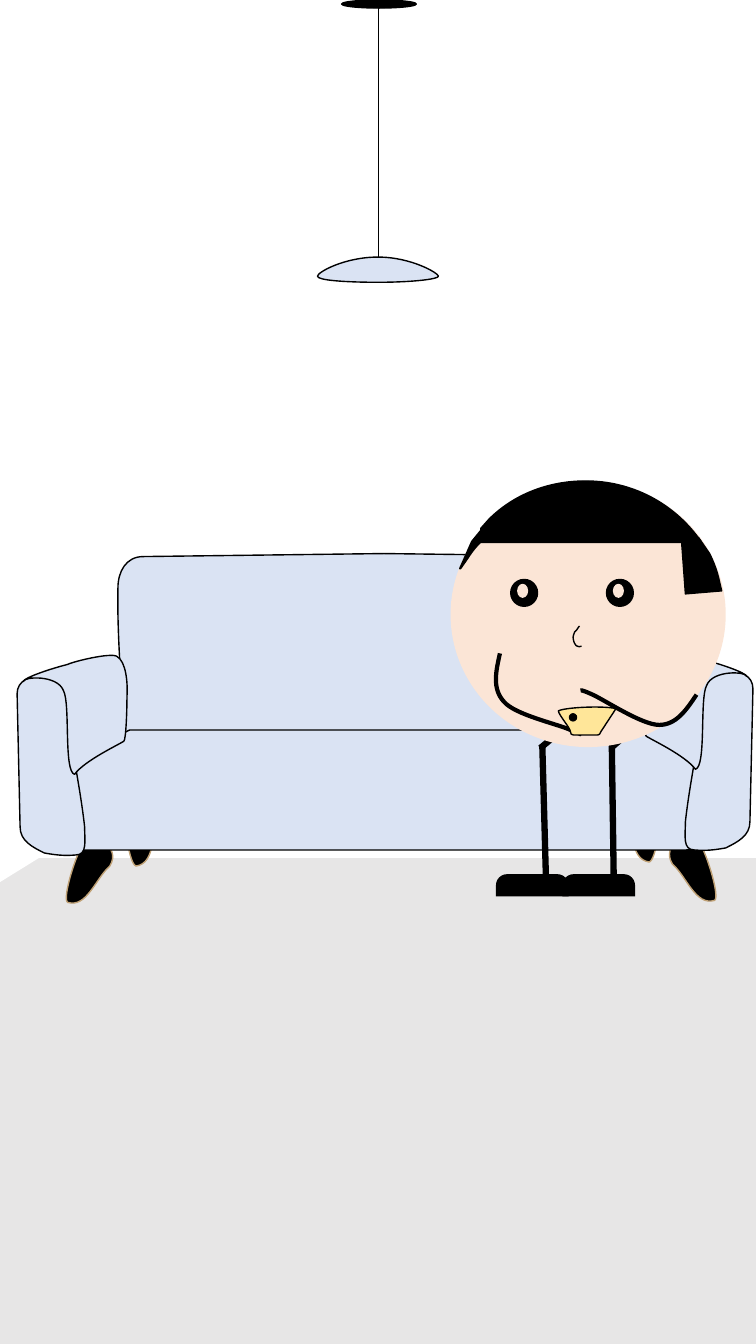
import math
import pptx
import pptx.util
import pptx.dml.color
import pptx.enum.shapes
import lxml.etree

Inches = pptx.util.Inches
SHAPE = pptx.enum.shapes.MSO_SHAPE
DRAWING = "{http://schemas.openxmlformats.org/drawingml/2006/main}"

COLORS = {"floor": "E7E6E6", "wall": "FFFFFF", "ink": "000000", "sofa": "DAE3F3",
          "wood": "C0A175", "skin": "FBE5D6", "phone": "FFE699"}

# Each part: frame (left, top, width, height), turn in degrees, outline in inches.
# An outline is a start point, then 2 numbers for a line or 6 for a curve.
WALLS = [
    ((-4.48, -0.28, 4.93, 11.79), 0,
     [(-4.48, -0.24), (0.36, -0.28), (0.45, 8.47), (-4.48, 11.52), (-4.48, -0.24)]),
    ((0.29, -0.14, 2.32, 8.63), 0,
     [(0.29, -0.14), (2.55, -0.07), (2.61, 6.61), (0.42, 8.5), (0.29, -0.14)]),
]
LAMPSHADE = ((3.15, 2.55, 1.2, 0.24), 0, [
    (3.15, 2.74), (3.15, 2.7, 3.42, 2.55, 3.75, 2.55), (4.08, 2.55, 4.35, 2.71, 4.35, 2.74),
    (4.35, 2.77, 4.08, 2.8, 3.75, 2.8), (3.42, 2.8, 3.15, 2.78, 3.15, 2.74)])
FRONT_LEG = ((6.56, 8.47, 0.69, 0.33), 59, [
    (6.73, 8.34), (6.81, 8.3, 6.91, 8.32, 6.96, 8.4), (7.02, 8.5, 7.14, 8.89, 7.09, 8.93),
    (6.9, 8.99, 6.81, 8.69, 6.67, 8.57), (6.61, 8.47, 6.65, 8.39, 6.73, 8.34)])
REAR_LEG = ((6.06, 8.04, 0.69, 0.33), 84.1, [
    (6.37, 7.86), (6.46, 7.85, 6.54, 7.92, 6.55, 8.01), (6.56, 8.12, 6.51, 8.53, 6.44, 8.55),
    (6.24, 8.52, 6.29, 8.21, 6.22, 8.04), (6.21, 7.93, 6.27, 7.87, 6.37, 7.86)])
SOFA_BACK = ((1.17, 5.49, 5.29, 2.11), 0, [
    (1.17, 5.83), (1.17, 5.67, 1.25, 5.52, 1.42, 5.52), (3.81, 5.49), (6.16, 5.52),
    (6.33, 5.52, 6.46, 5.65, 6.46, 5.81), (6.46, 7.31), (6.46, 7.47, 6.33, 7.6, 6.16, 7.6),
    (1.42, 7.6), (1.25, 7.6, 1.23, 7.47, 1.23, 7.31), (1.21, 6.82, 1.16, 6.32, 1.17, 5.83)])
SEAT = ((0.57, 7.24, 6.51, 1.19), 0, [
    (1.29, 7.24), (6.36, 7.24), (6.39, 7.24, 6.78, 7.5, 6.88, 7.6), (6.89, 7.62), (6.92, 7.62),
    (7.01, 7.66, 7.07, 7.75, 7.07, 7.86), (7.07, 8.17), (7.07, 8.32, 6.96, 8.43, 6.81, 8.43),
    (0.83, 8.43), (0.68, 8.43, 0.57, 8.32, 0.57, 8.17), (0.57, 7.86),
    (0.57, 7.75, 0.63, 7.66, 0.73, 7.62), (0.77, 7.61), (0.77, 7.61),
    (0.89, 7.51, 1.25, 7.24, 1.29, 7.24)])
ARM_FRONT = ((6.79, 6.65, 0.67, 1.79), 0, [
    (6.98, 6.89), (6.98, 6.76, 7.09, 6.65, 7.21, 6.65), (7.21, 6.65),
    (7.34, 6.65, 7.47, 6.7, 7.47, 6.83), (7.44, 8.15), (7.44, 8.29, 7.32, 8.35, 7.2, 8.41),
    (7.09, 8.43, 7, 8.44, 6.89, 8.43), (6.77, 8.43, 6.8, 8.29, 6.8, 8.15),
    (6.85, 7.7, 6.95, 7.31, 6.98, 6.89)])
ARM_SIDE = ((6.33, 6.5, 1.02, 1.12), 9.1, [
    (6.41, 7.3), (6.39, 7.28, 6.38, 7, 6.38, 6.86), (6.37, 6.72, 6.39, 6.51, 6.48, 6.46),
    (6.54, 6.42, 6.91, 6.51, 6.97, 6.54), (7.13, 6.58, 7.4, 6.67, 7.41, 6.71),
    (7.41, 6.66, 7.07, 6.64, 7.01, 6.8), (6.94, 6.93, 7.01, 7.6, 6.9, 7.63),
    (6.8, 7.49, 6.43, 7.32, 6.41, 7.3)])
RIGHT_ARM = ((6.02, 6.42, 0.7, 0.99), 61.9, [
    (6.91, 6.89), (6.81, 7.04, 6.71, 7.19, 6.54, 7.19), (6.37, 7.19, 6.01, 6.95, 5.88, 6.89),
    (5.75, 6.83, 5.76, 6.85, 5.76, 6.85), (5.76, 6.85)])
NOSE = ((5.69, 6.21, 0.07, 0.2), 355.1, [
    (5.75, 6.21), (5.74, 6.21, 5.74, 6.22, 5.74, 6.22), (5.73, 6.23, 5.73, 6.24, 5.72, 6.25),
    (5.71, 6.26, 5.69, 6.27, 5.69, 6.3), (5.68, 6.32, 5.69, 6.36, 5.7, 6.38),
    (5.71, 6.4, 5.72, 6.41, 5.73, 6.41), (5.74, 6.42, 5.75, 6.41, 5.77, 6.41)])
LEFT_ARM = ((4.96, 6.41, 0.7, 0.99), 344.9, [
    (4.96, 6.48), (4.92, 6.66, 4.88, 6.83, 5, 6.96), (5.11, 7.09, 5.53, 7.18, 5.66, 7.24),
    (5.79, 7.29, 5.77, 7.29, 5.77, 7.29), (5.77, 7.29)])
HAIR = [
    ((4.77, 4.77, 2.19, 0.62), 0, [
        (5.81, 4.77), (6.28, 4.77, 6.69, 5, 6.94, 5.35), (6.96, 5.38), (4.77, 5.38),
        (4.77, 5.24), (4.85, 5.15), (5.09, 4.91, 5.43, 4.77, 5.81, 4.77)]),
    ((6.78, 5.33, 0.36, 0.54), 355.8, [
        (6.76, 5.34), (6.93, 5.33), (7.04, 5.49), (7.08, 5.57, 7.11, 5.65, 7.13, 5.73),
        (7.16, 5.86), (6.8, 5.89), (6.76, 5.34)]),
    ((4.66, 5.16, 0.2, 0.54), 23.2, [
        (4.96, 5.22), (4.87, 5.18), (4.77, 5.26), (4.68, 5.37), (4.56, 5.64), (4.57, 5.64),
        (4.64, 5.54), (4.69, 5.46, 4.74, 5.4, 4.81, 5.34), (4.96, 5.22)]),
]
PHONE = ((5.54, 7.01, 0.57, 0.28), 0, [
    (5.54, 7.05), (5.63, 7.01, 6.03, 7, 6.11, 7.03), (5.96, 7.26),
    (5.96, 7.28, 5.94, 7.29, 5.93, 7.29), (5.69, 7.29), (5.67, 7.29, 5.66, 7.28, 5.66, 7.26),
    (5.66, 7.22, 5.54, 7.09, 5.54, 7.05)])
LEG_LINES = [(6.36, 7.16, 6.06, 7.42), (5.66, 7.17, 5.36, 7.42),
             (6.07, 7.4, 6.09, 8.8), (5.38, 7.39, 5.42, 8.84)]
EYES_LEFT = (6.01, 5.06)
SHOES_LEFT = (4.92, 5.58)


def rgb(name):
    return pptx.dml.color.RGBColor.from_string(COLORS[name])


def paint(shape, fill, line=None, width=1):
    shape.shadow.inherit = False
    if fill:
        shape.fill.solid()
        shape.fill.fore_color.rgb = rgb(fill)
    else:
        shape.fill.background()
    if line:
        shape.line.color.rgb = rgb(line)
        shape.line.width = pptx.util.Pt(width)
    else:
        shape.line.fill.background()
    return shape


def draw_outline(shapes, part, fill, line=None, width=1):
    (left, top, wide, high), turn, outline = part
    middle_x, middle_y = left + wide / 2, top + high / 2
    cosine, sine = math.cos(math.radians(turn)), math.sin(math.radians(turn))

    # The frame fixes the size; its outline is then exchanged for lines and curves
    builder = shapes.build_freeform(Inches(left), Inches(top))
    builder.add_line_segments([(Inches(left + wide), Inches(top + high))], close=False)
    shape = builder.convert_to_shape()
    track = next(shape._element.iter(DRAWING + "path"))
    for child in list(track):
        track.remove(child)
    for index, step in enumerate(outline):
        tag = "moveTo" if index == 0 else "lnTo" if len(step) == 2 else "cubicBezTo"
        segment = lxml.etree.SubElement(track, DRAWING + tag)
        for x, y in zip(step[::2], step[1::2]):
            across, down = x - middle_x, y - middle_y
            point = lxml.etree.SubElement(segment, DRAWING + "pt")
            point.set("x", str(Inches(across * cosine + down * sine + wide / 2)))
            point.set("y", str(Inches(down * cosine - across * sine + high / 2)))
    if fill:
        lxml.etree.SubElement(track, DRAWING + "close")
    shape.rotation = turn
    paint(shape, fill, line, width)


def draw_preset(shapes, kind, frame, fill, line=None):
    return paint(shapes.add_shape(kind, *map(Inches, frame)), fill, line)


def draw_line(shapes, ends, width):
    line = shapes.add_connector(pptx.enum.shapes.MSO_CONNECTOR.STRAIGHT, *map(Inches, ends))
    line.line.color.rgb = rgb("ink")
    line.line.width = pptx.util.Pt(width)
    lxml.etree.SubElement(line._element.spPr, DRAWING + "effectLst")


def mirror(part, span, drop):
    (left, top, wide, high), turn, outline = part
    flipped = [tuple(value + drop if place % 2 else span - value
                     for place, value in enumerate(step)) for step in outline]
    return (span - left - wide, top + drop, wide, high), (360 - turn) % 360, flipped


def draw_pair(shapes, part, span, drop, fill, line):
    for side in (part, mirror(part, span, drop)):
        draw_outline(shapes, side, fill, line)


def draw_lamp(shapes):
    draw_preset(shapes, SHAPE.OVAL, (3.39, 0, 0.74, 0.08), "ink", "ink")
    draw_line(shapes, (3.75, 0.04, 3.75, 2.55), 0.5)
    draw_outline(shapes, LAMPSHADE, "sofa", "ink")


def draw_sofa(shapes):
    draw_pair(shapes, FRONT_LEG, 7.76, 0.02, "ink", "wood")
    draw_pair(shapes, REAR_LEG, 7.79, 0.04, "ink", "wood")
    for part in (SOFA_BACK, SEAT):
        draw_outline(shapes, part, "sofa", "ink")
    # Right arm first, then the left one
    for side in (ARM_FRONT, ARM_SIDE), (mirror(ARM_FRONT, 7.64, 0.05), mirror(ARM_SIDE, 7.64, 0.05)):
        for part in side:
            draw_outline(shapes, part, "sofa", "ink")


def draw_person(shapes):
    for ends in LEG_LINES:
        draw_line(shapes, ends, 4.5)
    draw_preset(shapes, SHAPE.OVAL, (4.47, 4.78, 2.73, 2.63), "skin")
    for left in SHOES_LEFT:
        shoe = draw_preset(shapes, SHAPE.ROUND_2_SAME_RECTANGLE, (left, 8.67, 0.72, 0.22), "ink")
        shoe.adjustments[0] = 0.5
    for left in EYES_LEFT:
        draw_preset(shapes, SHAPE.OVAL, (left, 5.74, 0.28, 0.28), "ink")
        draw_preset(shapes, SHAPE.OVAL, (left + 0.07, 5.79, 0.11, 0.14), "skin")
    for part, width in ((RIGHT_ARM, 3), (NOSE, 1), (LEFT_ARM, 3)):
        draw_outline(shapes, part, None, "ink", width)
    for part in HAIR:
        draw_outline(shapes, part, "ink", "ink")
    draw_outline(shapes, PHONE, "phone", "ink")
    draw_preset(shapes, SHAPE.OVAL, (5.65, 7.08, 0.07, 0.07), "ink", "ink")


def main():
    deck = pptx.Presentation()
    deck.slide_width, deck.slide_height = Inches(7.5), Inches(13.33)
    page = deck.slides.add_slide(deck.slide_layouts[6])

    # Floor and walls
    page.background.fill.solid()
    page.background.fill.fore_color.rgb = rgb("floor")
    room = page.shapes.add_group_shape().shapes
    for part in WALLS:
        draw_outline(room, part, "wall")
    draw_preset(page.shapes, SHAPE.RECTANGLE, (0.32, -0.14, 7.18, 8.65), "wall")

    # Furniture and person, each in its own group
    for draw in (draw_lamp, draw_sofa, draw_person):
        draw(page.shapes.add_group_shape().shapes)
    deck.save("out.pptx")


if __name__ == "__main__":
    main()
